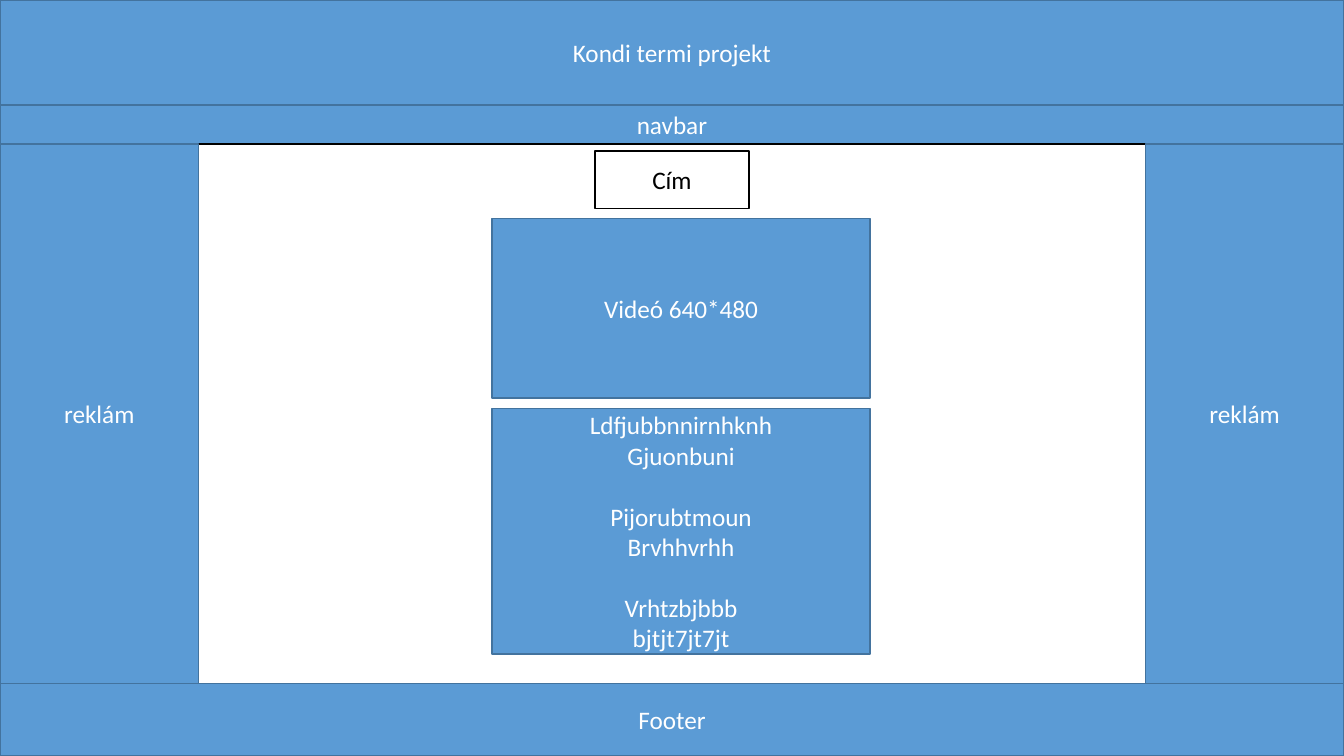
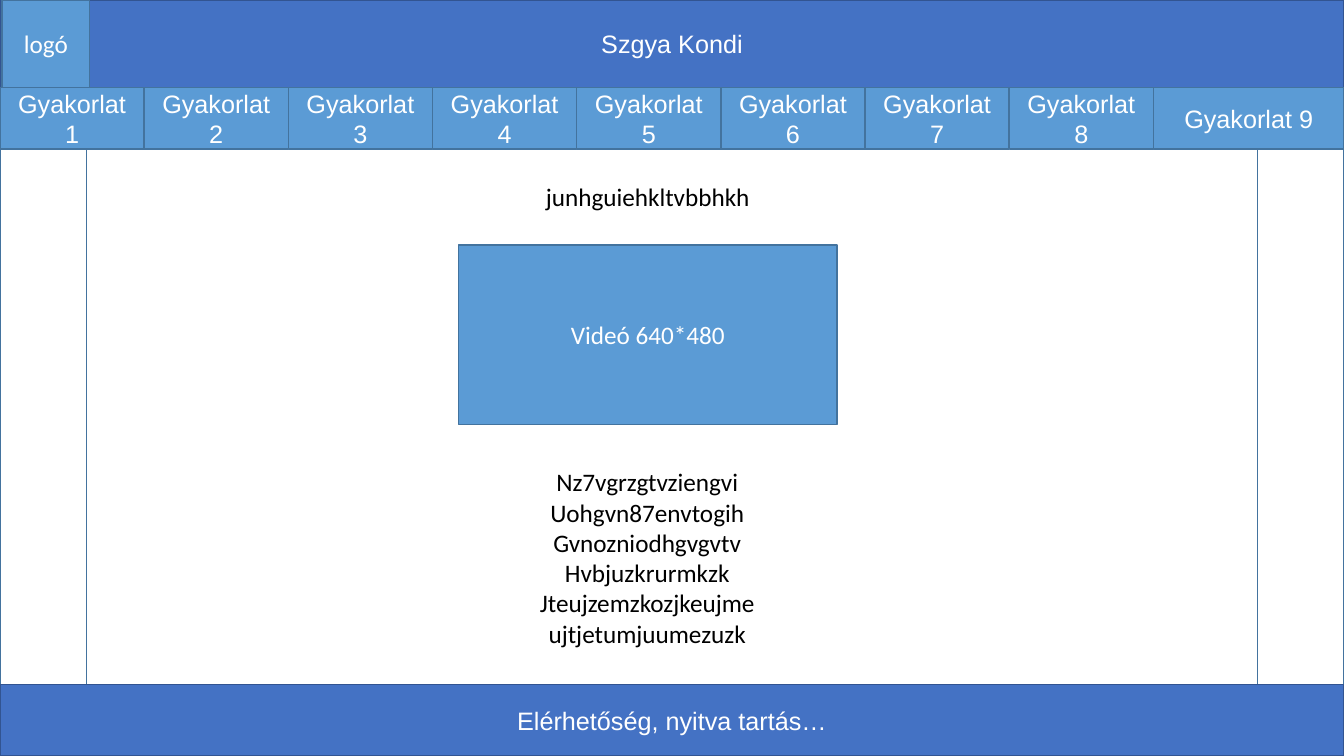
from pptx import Presentation
from pptx.dml.color import RGBColor
from pptx.enum.shapes import MSO_SHAPE
from pptx.enum.text import MSO_ANCHOR, MSO_AUTO_SIZE, PP_ALIGN
from pptx.util import Inches, Pt

BLUE = RGBColor(0x5B, 0x9B, 0xD5)
BLUE_EDGE = RGBColor(0x43, 0x73, 0x9E)
NAVY = RGBColor(0x44, 0x72, 0xC4)
NAVY_EDGE = RGBColor(0x32, 0x54, 0x91)
WHITE = RGBColor(0xFF, 0xFF, 0xFF)
BLACK = RGBColor(0, 0, 0)

PANEL = (BLUE, BLUE_EDGE, WHITE)
BAND = (NAVY, NAVY_EDGE, WHITE)
PAPER = (WHITE, BLACK, BLACK)
MARGIN = (WHITE, BLUE_EDGE, BLACK)

WIDTH, HEIGHT = 13.33, 7.5
VIDEO_W, VIDEO_H = 3.75, 1.78
VIDEO_TEXT = "Videó 640*480"


def write(shape, groups, color, font="Calibri"):
    frame = shape.text_frame
    frame.word_wrap = True
    frame.auto_size = MSO_AUTO_SIZE.NONE
    frame.vertical_anchor = MSO_ANCHOR.MIDDLE
    paragraph = frame.paragraphs[0]
    for group_no, group in enumerate(groups):
        for line_no, line in enumerate(group):
            if group_no or line_no:
                paragraph = frame.add_paragraph()
            paragraph.alignment = PP_ALIGN.CENTER
            if group_no and not line_no:
                paragraph.space_before = Pt(22)
            run = paragraph.add_run()
            run.text = line
            run.font.name = font
            run.font.size = Pt(18)
            run.font.color.rgb = color


def block(slide, box, style, groups=(), font="Calibri", title=False):
    left, top, width, height = map(Inches, box)
    if title:
        shape = slide.shapes.title
        shape.left, shape.top, shape.width, shape.height = left, top, width, height
    else:
        shape = slide.shapes.add_shape(MSO_SHAPE.RECTANGLE, left, top, width, height)
    fill, edge, ink = style
    shape.shadow.inherit = False
    shape.fill.solid()
    shape.fill.fore_color.rgb = fill
    shape.line.color.rgb = edge
    shape.line.width = Pt(1)
    write(shape, groups, ink, font)


prs = Presentation()
prs.slide_width, prs.slide_height = Inches(WIDTH), Inches(HEIGHT)
title_only = prs.slide_layouts[5]

wireframe = prs.slides.add_slide(title_only)
body_top, footer_top, advert_w = 1.43, 6.78, 1.97
body_h = footer_top - body_top
block(wireframe, (0, 0, WIDTH, 1.04), PANEL, [["Kondi termi projekt"]], title=True)
block(wireframe, (0, 1.04, WIDTH, 0.39), PANEL, [["navbar"]])
block(wireframe, (0, body_top, WIDTH, body_h), PAPER)
block(wireframe, (0, footer_top, WIDTH, HEIGHT - footer_top), PANEL, [["Footer"]])
block(wireframe, (5.9, 1.5, 1.53, 0.57), PAPER, [["Cím"]])
block(wireframe, (4.88, 2.17, VIDEO_W, VIDEO_H), PANEL, [[VIDEO_TEXT]])
block(wireframe, (4.88, 4.05, VIDEO_W, 2.44), PANEL, [
    ["Ldfjubbnnirnhknh", "Gjuonbuni"],
    ["Pijorubtmoun", "Brvhhvrhh"],
    ["Vrhtzbjbbb", "bjtjt7jt7jt"],
])
for advert_left in (0, WIDTH - advert_w):
    block(wireframe, (advert_left, body_top, advert_w, body_h), PANEL, [["reklám"]])

gym_page = prs.slides.add_slide(title_only)
header_h, nav_h, footer_top = 0.87, 0.61, 6.79
body_top = header_h + nav_h
margin_w = 0.86
block(gym_page, (0, 0, WIDTH, header_h), BAND, [["Szgya Kondi"]], "Arial", title=True)

for margin_left in (0, WIDTH - margin_w):
    block(gym_page, (margin_left, body_top, margin_w, footer_top - body_top), MARGIN)

exercise_count, exercise_w = 9, 1.43
for index in range(exercise_count):
    left = index * exercise_w
    width = WIDTH - left if index == exercise_count - 1 else exercise_w
    block(gym_page, (left, header_h, width, nav_h), PANEL,
          [[f"Gyakorlat {index + 1}"]], "Arial")

block(gym_page, (4.55, 2.43, VIDEO_W, VIDEO_H), PANEL, [[VIDEO_TEXT]])
block(gym_page, (0, footer_top, WIDTH, HEIGHT - footer_top), BAND,
      [["Elérhetőség, nyitva tartás…"]], "Arial")

captions = [
    ((4.55, 1.66, 3.75, 0.58), ["junhguiehkltvbbhkh"]),
    ((4.74, 4.4, 3.36, 2.26), [
        "Nz7vgrzgtvziengvi", "Uohgvn87envtogih", "Gvnozniodhgvgvtv",
        "Hvbjuzkrurmkzk", "Jteujzemzkozjkeujme", "ujtjetumjuumezuzk",
    ]),
]
for box, lines in captions:
    write(gym_page.shapes.add_textbox(*map(Inches, box)), [lines], BLACK)

block(gym_page, (0.02, 0, header_h, header_h), PANEL, [["logó"]])

prs.save("out.pptx")
